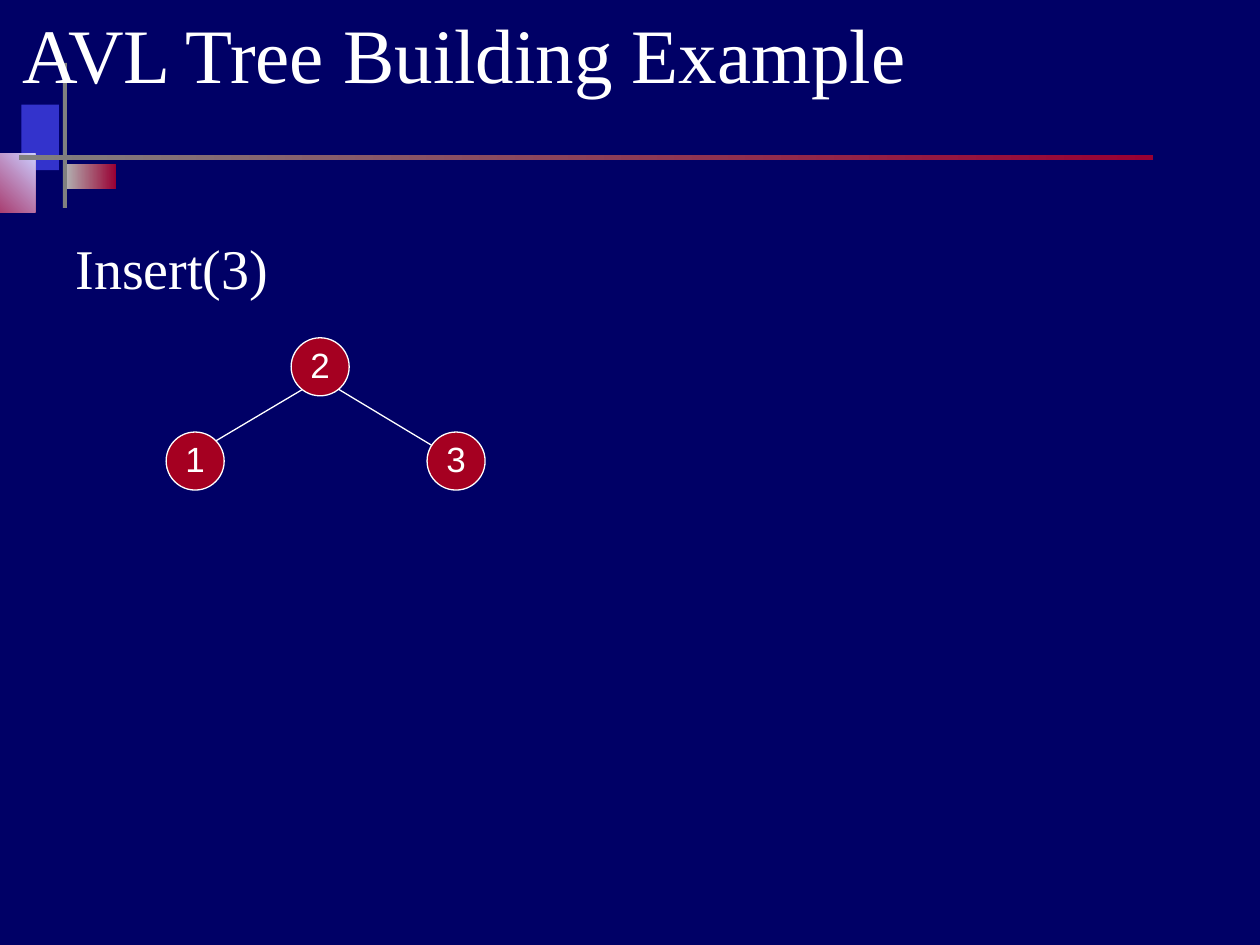
from lxml.etree import SubElement
from pptx import Presentation
from pptx.dml.color import RGBColor
from pptx.enum.shapes import MSO_CONNECTOR, MSO_SHAPE
from pptx.enum.text import MSO_ANCHOR, PP_ALIGN
from pptx.oxml.ns import qn
from pptx.util import Cm, Pt

NAVY = RGBColor(0x00, 0x00, 0x66)
WHITE = RGBColor(0xFF, 0xFF, 0xFF)
BLUE = RGBColor(0x33, 0x33, 0xCC)
LAVENDER = RGBColor(0xCC, 0xCC, 0xFF)
SILVER = RGBColor(0xB2, 0xB2, 0xB2)
GRAY = RGBColor(0x80, 0x80, 0x80)
MAROON = RGBColor(0x99, 0x00, 0x33)
RED = RGBColor(0xA5, 0x00, 0x21)


def style_text(paragraph, font_name, size, alignment):
    paragraph.alignment = alignment
    for run in paragraph.runs:
        run.font.name = font_name
        run.font.size = Pt(size)
        run.font.color.rgb = WHITE


prs = Presentation()
prs.slide_width, prs.slide_height = Cm(25.4), Cm(19.05)
slide = prs.slides.add_slide(prs.slide_layouts[5])
slide.background.fill.solid()
slide.background.fill.fore_color.rgb = NAVY
shapes = slide.shapes

ornaments = [
    (0.43, 2.11, 0.76, 1.32, [BLUE], 0),
    (1.32, 3.3, 1.02, 0.51, [SILVER, MAROON], 0),
    (-0.84, 3.1, 1.55, 1.18, [MAROON, LAVENDER], 45),
    (1.27, 1.27, 0.08, 2.92, [GRAY], 0),
    (0.38, 3.12, 22.86, 0.1, [GRAY, MAROON], 0),
]
for left, top, width, height, colors, angle in ornaments:
    ornament = shapes.add_shape(
        MSO_SHAPE.RECTANGLE, Cm(left), Cm(top), Cm(width), Cm(height))
    ornament.shadow.inherit = False
    ornament.line.fill.background()
    if len(colors) == 1:
        ornament.fill.solid()
        ornament.fill.fore_color.rgb = colors[0]
    else:
        ornament.fill.gradient()
        ornament.fill.gradient_angle = angle
        for stop, color in zip(ornament.fill.gradient_stops, colors):
            stop.color.rgb = color

for start_x, end_x in [(6.15, 4.01), (6.78, 8.89)]:
    branch = shapes.add_connector(
        MSO_CONNECTOR.STRAIGHT, Cm(start_x), Cm(7.82), Cm(end_x), Cm(9.09))
    branch.line.color.rgb = WHITE
    branch.line.width = Pt(0.75)
    SubElement(branch.element.spPr, qn("a:effectLst"))

title = shapes.title
title.element.getparent().append(title.element)
title.left, title.top, title.width, title.height = Cm(0.2), Cm(-0.2), Cm(22.86), Cm(2.54)
title.text_frame.text = "AVL Tree Building Example"
title.text_frame.vertical_anchor = MSO_ANCHOR.MIDDLE
style_text(title.text_frame.paragraphs[0], "Times New Roman", 44, PP_ALIGN.LEFT)

operation = shapes.add_textbox(Cm(1.27), Cm(4.45), Cm(22.86), Cm(1.9))
operation.text_frame.word_wrap = True
operation.text_frame.margin_top = Cm(0.25)
operation.text_frame.text = "Insert(3)"
style_text(operation.text_frame.paragraphs[0], "Times New Roman", 32, PP_ALIGN.LEFT)

for key, left, top in [("1", 3.35, 8.71), ("2", 5.87, 6.81), ("3", 8.61, 8.71)]:
    node = shapes.add_shape(MSO_SHAPE.OVAL, Cm(left), Cm(top), Cm(1.17), Cm(1.17))
    node.shadow.inherit = False
    node.fill.solid()
    node.fill.fore_color.rgb = RED
    node.line.color.rgb = WHITE
    node.line.width = Pt(0.75)
    label = node.text_frame
    label.margin_left = label.margin_right = label.margin_top = 0
    label.margin_bottom = Cm(0.1)
    label.vertical_anchor = MSO_ANCHOR.MIDDLE
    label.word_wrap = False
    label.text = key
    style_text(label.paragraphs[0], "Arial", 20, PP_ALIGN.CENTER)

prs.save("out.pptx")
